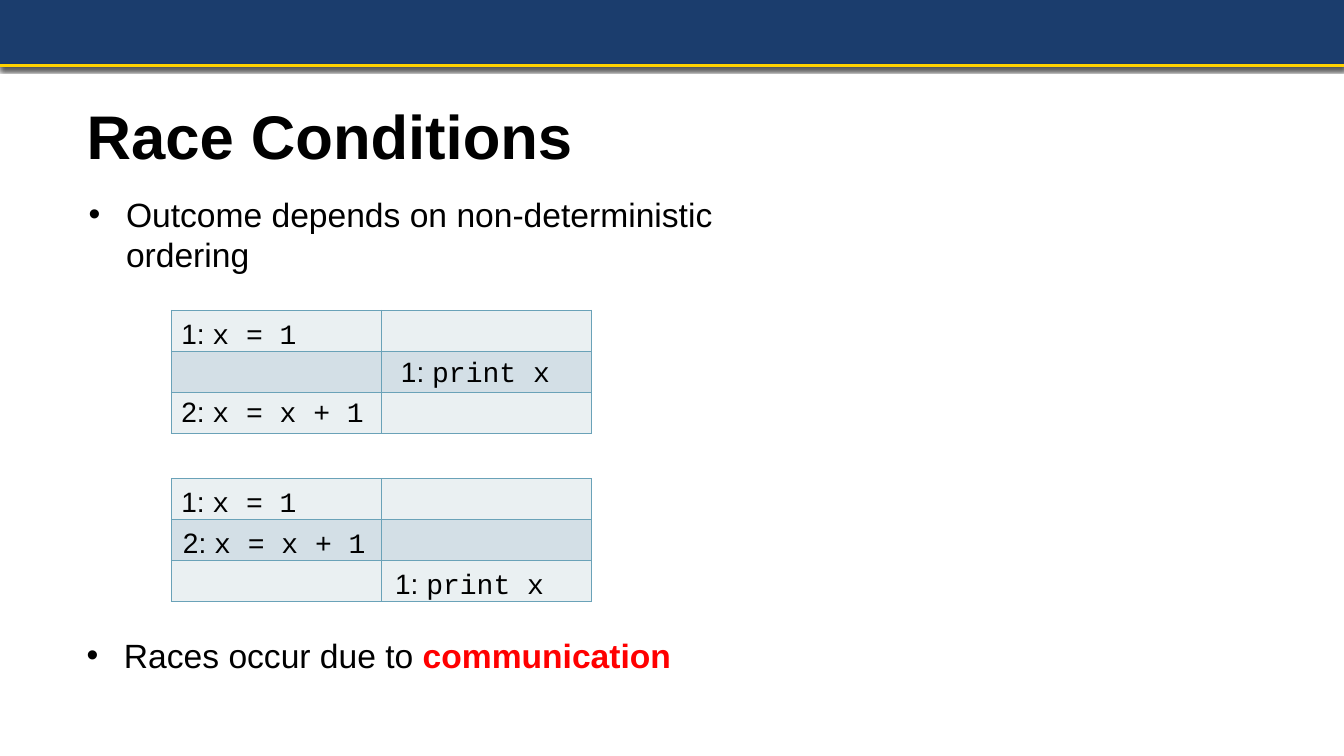
import dataclasses

import lxml.etree
import pptx
import pptx.dml.color
import pptx.enum.shapes
import pptx.enum.text
import pptx.oxml
import pptx.oxml.ns
import pptx.util

Pt = pptx.util.Pt
RGB = pptx.dml.color.RGBColor.from_string
qn = pptx.oxml.ns.qn
GRID_COLUMNS, GRID_ROWS = 64, 36
WIDTH, HEIGHT = pptx.util.Inches(13.333), pptx.util.Inches(7.5)


@dataclasses.dataclass(frozen=True)
class Theme:
    """Colours, fonts and type sizes of the deck."""
    banner: str = "1B3D6D"
    rule: str = "FFD200"
    ink: str = "000000"
    accent: str = "FF0000"
    border: str = "6AA2B8"
    bands: tuple = ("EAF0F2", "D3DFE6")
    font: str = "Arial"
    code_font: str = "Courier New"
    title_size: int = 44
    body_size: int = 24
    code_size: int = 20


THEME = Theme()


def across(columns):
    """Turn grid columns into a length."""
    return round(WIDTH * columns / GRID_COLUMNS)


def down(rows):
    """Turn grid rows into a length."""
    return round(HEIGHT * rows / GRID_ROWS)


def measure(box):
    """Turn a box of (column, row, columns, rows) into four lengths."""
    left, top, width, height = box
    return across(left), down(top), across(width), down(height)


def place(shape, box):
    """Move a shape to a box."""
    shape.left, shape.top, shape.width, shape.height = measure(box)


def set_font(font, size, bold=False):
    """Format a paragraph font in the ink colour."""
    font.size, font.name, font.bold = Pt(size), THEME.font, bold
    font.color.rgb = RGB(THEME.ink)


def add_shadow(shape, opacity, distance):
    """Cast a soft shadow straight down."""
    effects = lxml.etree.SubElement(shape._element.spPr, qn("a:effectLst"))
    shadow = lxml.etree.SubElement(
        effects, qn("a:outerShdw"), blurRad=str(Pt(3.1)),
        dist=str(Pt(distance)), dir="5400000", rotWithShape="0")
    colour = lxml.etree.SubElement(shadow, qn("a:srgbClr"), val=THEME.ink)
    lxml.etree.SubElement(colour, qn("a:alpha"), val=str(opacity * 1000))


def add_banner(page, box):
    """Draw the top band with a rule just above its lower edge."""
    left, top, width, height = box
    band = page.shapes.add_shape(
        pptx.enum.shapes.MSO_SHAPE.RECTANGLE, *measure(box))
    band.fill.solid()
    band.fill.fore_color.rgb = RGB(THEME.banner)
    band.line.fill.background()
    add_shadow(band, 58, 1.8)
    level = down(top + height * 0.98)
    rule = page.shapes.add_connector(
        pptx.enum.shapes.MSO_CONNECTOR.STRAIGHT,
        across(left), level, across(left + width), level)
    rule.line.color.rgb = RGB(THEME.rule)
    rule.line.width = Pt(2.24)
    add_shadow(rule, 62, 1.6)


def fill_title(title, box, text):
    """Place and format the slide title."""
    place(title, box)
    frame = title.text_frame
    frame.text = text
    frame.auto_size = pptx.enum.text.MSO_AUTO_SIZE.NONE
    frame.vertical_anchor = pptx.enum.text.MSO_ANCHOR.MIDDLE
    para = frame.paragraphs[0]
    para.alignment = pptx.enum.text.PP_ALIGN.LEFT
    set_font(para.font, THEME.title_size, bold=True)


def fill_bullet(body, box, text, highlight=""):
    """Place a one-bullet body, with an optional highlighted ending."""
    place(body, box)
    frame = body.text_frame
    frame.auto_size = pptx.enum.text.MSO_AUTO_SIZE.NONE
    para = frame.paragraphs[0]
    para.space_before = Pt(4.8)
    set_font(para.font, THEME.body_size)
    properties = para._p.get_or_add_pPr()
    properties.set("marL", str(across(1.82)))
    properties.set("indent", str(-across(1.78)))
    para.add_run().text = text
    if highlight:
        span = para.add_run()
        span.text = highlight
        span.font.bold = True
        span.font.color.rgb = RGB(THEME.accent)


def add_borders(cell):
    """Draw a thin line on all four sides of a cell."""
    properties = cell._tc.get_or_add_tcPr()
    for side in ("lnL", "lnR", "lnT", "lnB"):
        line = lxml.etree.SubElement(
            properties, qn("a:" + side), w=str(Pt(0.96)))
        fill = lxml.etree.SubElement(line, qn("a:solidFill"))
        lxml.etree.SubElement(fill, qn("a:srgbClr"), val=THEME.border)


def add_step(page, box, label, code):
    """Write one numbered line of code."""
    frame = page.shapes.add_textbox(*measure(box)).text_frame
    frame.word_wrap = True
    para = frame.paragraphs[0]
    set_font(para.font, THEME.code_size)
    para.add_run().text = label
    span = para.add_run()
    span.text = code
    span.font.name = THEME.code_font


def add_schedule(page, box, steps):
    """Draw a banded grid with steps of (column, row, label, code) over it."""
    left, top, width, height = box
    table = page.shapes.add_table(len(steps), 2, *measure(box)).table
    table.first_row = table.horz_banding = False
    for index, row in enumerate(table.rows):
        row.height = down(height / len(steps))
        for cell in row.cells:
            add_borders(cell)
            cell.fill.solid()
            cell.fill.fore_color.rgb = RGB(THEME.bands[index % 2])
            cell.margin_top = cell.margin_bottom = 0
    for column, row, label, code in steps:
        add_step(page, (left + column, top + row, width * 0.53, 2.06),
                 label, code)


def build_race_slide(deck):
    """Build the slide on race conditions."""
    page = deck.slides.add_slide(deck.slide_layouts.get_by_name("Two Content"))
    title, outcome, cause = page.placeholders
    add_banner(page, (0, 0, GRID_COLUMNS, 3.2))
    fill_title(title, (3.65, 3.17, 24.34, 6.48), "Race Conditions")
    fill_bullet(outcome, (3.7, 9, 34.27, 4.32),
                "Outcome depends on non-deterministic ordering")
    fill_bullet(cause, (3.6, 30, 34.27, 2.4),
                "Races occur due to ", "communication")
    add_schedule(page, (8.16, 14.78, 20, 5.86), (
        (0, 0.05, "1: ", "x = 1"),
        (10.46, 1.87, "1: ", "print x"),
        (0, 3.75, "2: ", "x = x + 1")))
    add_schedule(page, (8.16, 22.8, 20, 5.86), (
        (0, 0.05, "1: ", "x = 1"),
        (0.08, 1.97, "2: ", "x = x + 1"),
        (10.18, 3.94, "1: ", "print x")))


deck = pptx.Presentation()
deck.slide_width, deck.slide_height = WIDTH, HEIGHT
build_race_slide(deck)
deck.save("out.pptx")
